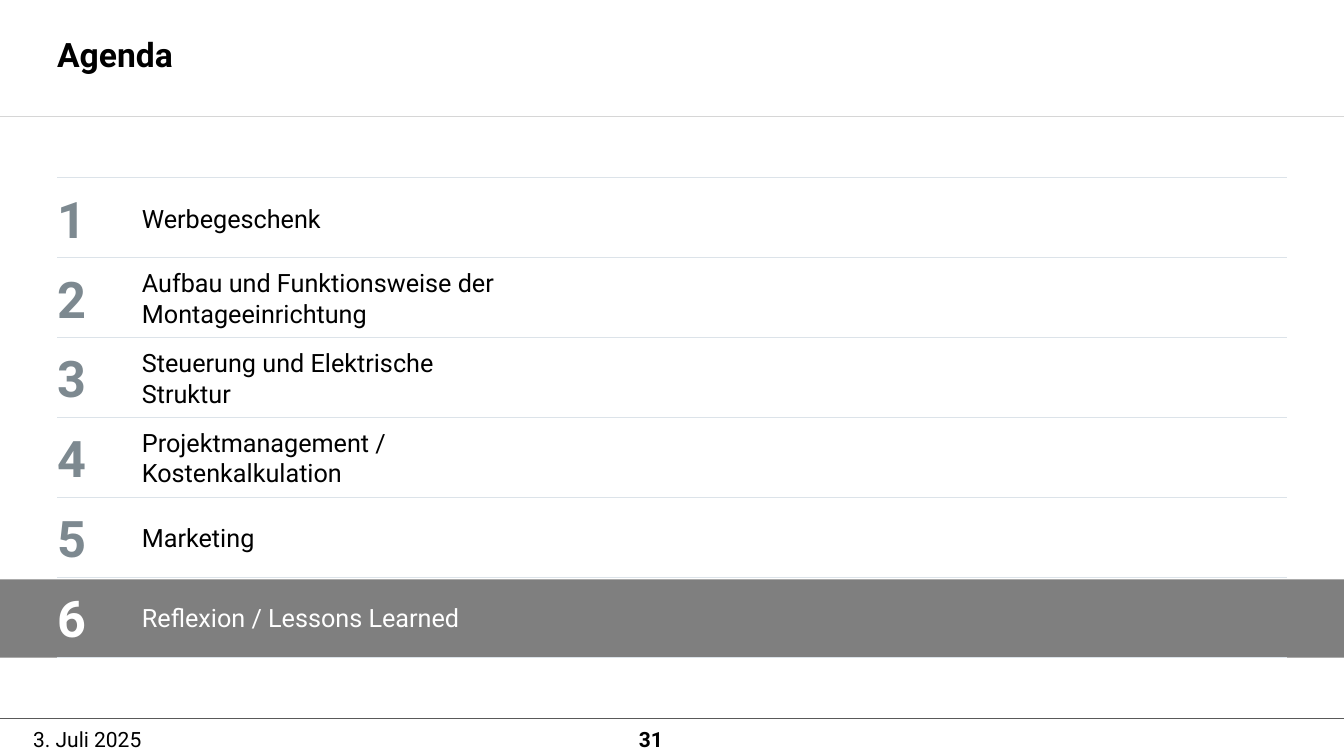
from pptx import Presentation
from pptx.dml.color import RGBColor
from pptx.enum.shapes import MSO_CONNECTOR, MSO_SHAPE
from pptx.enum.text import MSO_ANCHOR, PP_ALIGN
from pptx.oxml.ns import qn
from pptx.util import Pt
from lxml import etree

STRAIGHT = MSO_CONNECTOR.STRAIGHT
RECTANGLE = MSO_SHAPE.RECTANGLE
TOP, MIDDLE = MSO_ANCHOR.TOP, MSO_ANCHOR.MIDDLE
LEFT, RIGHT = PP_ALIGN.LEFT, PP_ALIGN.RIGHT

BLACK = RGBColor(0x00, 0x00, 0x00)
WHITE = RGBColor(0xFF, 0xFF, 0xFF)
NUMBER_GRAY = RGBColor(0x7D, 0x89, 0x90)
BAND_GRAY = RGBColor(0x7F, 0x7F, 0x7F)
ROW_RULE = RGBColor(0xDC, 0xE3, 0xE9)
HEADER_RULE = RGBColor(0xD6, 0xD6, 0xD6)
FOOTER_RULE = RGBColor(0x59, 0x59, 0x59)

FONT = "Roboto"
SLIDE_W, SLIDE_H = 960, 540
MARGIN = 40.8
TOPIC_X = 101.4
ROWS_TOP, ROW_H = 126.9, 57.1
TEXT_GAP, TEXT_H = 6.8, 44
TOPICS = [
    "Werbegeschenk",
    "Aufbau und Funktionsweise der Montageeinrichtung",
    "Steuerung und Elektrische Struktur",
    "Projektmanagement / Kostenkalkulation",
    "Marketing",
    "Reflexion / Lessons Learned",
]
CURRENT = 6


def add_text(s, text, x, y, w, h, size=18, color=BLACK, bold=False,
             align=LEFT, anchor=TOP, wrap=False):
    tf = s.shapes.add_textbox(Pt(x), Pt(y), Pt(w), Pt(h)).text_frame
    tf.margin_left = tf.margin_right = tf.margin_top = tf.margin_bottom = 0
    tf.word_wrap = wrap
    tf.vertical_anchor = anchor
    p = tf.paragraphs[0]
    p.alignment = align
    r = p.add_run()
    r.text = text
    r.font.name = FONT
    r.font.size = Pt(size)
    r.font.bold = bold
    r.font.color.rgb = color


def add_rule(s, x1, x2, y, color, width):
    line = s.shapes.add_connector(STRAIGHT, Pt(x1), Pt(y), Pt(x2), Pt(y))
    line.line.color.rgb = color
    line.line.width = Pt(width)
    etree.SubElement(line._element.spPr, qn("a:effectLst"))


def add_band(s, y, h):
    sp = s.shapes.add_shape(RECTANGLE, 0, Pt(y), Pt(SLIDE_W), Pt(h))
    sp.shadow.inherit = False
    sp.fill.solid()
    sp.fill.fore_color.rgb = BAND_GRAY
    sp.line.fill.background()


def add_agenda(s):
    add_band(s, ROWS_TOP + (CURRENT - 1) * ROW_H + 1.4, 56)
    for i in range(len(TOPICS) + 1):
        add_rule(s, MARGIN, SLIDE_W - MARGIN, ROWS_TOP + i * ROW_H, ROW_RULE, 0.75)
    for number, topic in enumerate(TOPICS, 1):
        y = ROWS_TOP + (number - 1) * ROW_H + TEXT_GAP
        current = number == CURRENT
        add_text(s, str(number), MARGIN, y, 46, TEXT_H, size=36, bold=True,
                 color=WHITE if current else NUMBER_GRAY, anchor=MIDDLE)
        add_text(s, topic, TOPIC_X, y, 263, TEXT_H,
                 color=WHITE if current else BLACK, anchor=MIDDLE)


def main():
    prs = Presentation()
    prs.slide_width, prs.slide_height = Pt(SLIDE_W), Pt(SLIDE_H)
    s = prs.slides.add_slide(prs.slide_layouts[6])
    add_rule(s, 0, SLIDE_W, 513, FOOTER_RULE, 0.5)
    add_rule(s, 0, SLIDE_W, 83, HEADER_RULE, 0.5)
    add_agenda(s)
    add_text(s, "Agenda", MARGIN, 24, 718.6, 29, size=24, bold=True, wrap=True)
    add_text(s, "3. Juli 2025", 23.7, 518.6, 86, 18, size=15)
    add_text(s, "31", 443.5, 518.6, 30, 18, size=15, bold=True, align=RIGHT)
    prs.save("out.pptx")


if __name__ == "__main__":
    main()
